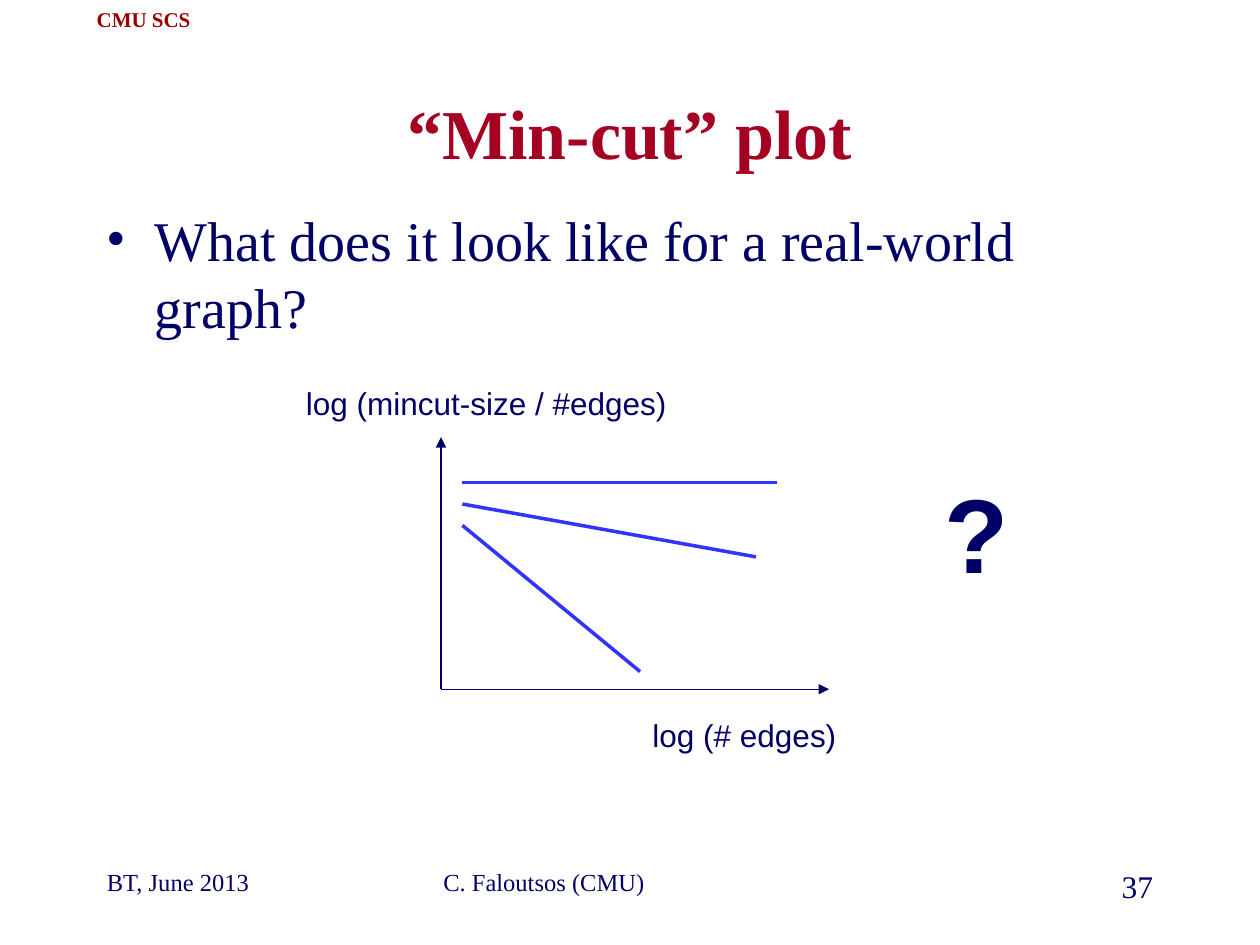
from lxml import etree
from pptx import Presentation
from pptx.dml.color import RGBColor
from pptx.enum import shapes, text
from pptx.oxml.ns import qn
from pptx.util import Inches, Pt

NAVY = RGBColor(0x00, 0x00, 0x66)
BLUE = RGBColor(0x33, 0x33, 0xFF)
CRIMSON = RGBColor(0xA5, 0x00, 0x21)
DARK_RED = RGBColor(0x99, 0x00, 0x00)
SERIF, SANS = "Times New Roman", "Arial"
LEFT, CENTER, RIGHT = text.PP_ALIGN.LEFT, text.PP_ALIGN.CENTER, text.PP_ALIGN.RIGHT
TOP, MIDDLE = text.MSO_ANCHOR.TOP, text.MSO_ANCHOR.MIDDLE

# text, (left, top, width, height), font, size, colour, bold, alignment, anchor
HEADER = ("CMU SCS", (0.67, 0, 0.94, 0.3), SERIF, 12, DARK_RED, True, CENTER, MIDDLE)
TITLE = ("“Min-cut” plot", (0.75, 0.67, 8.5, 0.75), SERIF, 40, CRIMSON, True, CENTER, MIDDLE)
QUESTION = ("What does it look like for a real-world graph?",
            (0.75, 1.58, 8.5, 5.08), SERIF, 32, NAVY, False, LEFT, TOP)
LABELS = [
    ("BT, June 2013", (0.75, 6.83, 2.08, 0.5), SERIF, 14, NAVY, False, LEFT, TOP),
    ("C. Faloutsos (CMU)", (3.42, 6.83, 3.17, 0.5), SERIF, 14, NAVY, False, LEFT, TOP),
    ("37", (7.17, 6.83, 2.08, 0.5), SERIF, 18, NAVY, False, RIGHT, TOP),
    ("log (# edges)", (5.08, 5.63, 1.92, 0.4), SANS, 18, NAVY, False, LEFT, TOP),
    ("log (mincut-size / #edges)", (2.33, 3, 3.33, 0.4), SANS, 18, NAVY, False, LEFT, TOP),
    ("?", (6.75, 3.67, 2, 1.1), SANS, 60, NAVY, True, CENTER, TOP),
]

ORIGIN = (3.5, 5.47)
AXIS_ENDS = [(6.58, 5.47), (3.5, 3.47)]
CURVES = [
    ((3.67, 3.83), (6.17, 3.83)),
    ((3.67, 4), (6, 4.42)),
    ((3.67, 4.17), (5.08, 5.33)),
]


def add_text(s, content, box, font, size, color, bold, align, anchor, side_margin=0.1):
    sp = s.shapes.add_textbox(*map(Inches, box))
    tf = sp.text_frame
    tf.word_wrap = True
    tf.margin_left = tf.margin_right = Inches(side_margin)
    tf.vertical_anchor = anchor
    p = tf.paragraphs[0]
    p.text = content
    p.alignment = align
    return p, style(p, font, size, color, bold)


def style(p, font, size, color, bold):
    p.font.name, p.font.size, p.font.bold = font, Pt(size), bold
    p.font.color.rgb = color


def add_bullet(p, indent, font):
    """Give the paragraph a hanging bullet."""
    pPr = p._p.get_or_add_pPr()
    pPr.set("marL", str(Inches(indent)))
    pPr.set("indent", str(-Inches(indent)))
    pPr.insert(0, etree.Element(qn("a:buFont"), typeface=font))
    pPr.insert(1, etree.Element(qn("a:buChar"), char="•"))


def add_line(s, start, end, color, width, arrow=False):
    line = s.shapes.add_connector(shapes.MSO_CONNECTOR.STRAIGHT,
                                  *map(Inches, start + end))
    line.line.color.rgb = color
    line.line.width = Pt(width)
    if arrow:
        etree.SubElement(line.line._get_or_add_ln(), qn("a:tailEnd"), type="triangle")
    etree.SubElement(line._element.spPr, qn("a:effectLst"))


def main():
    prs = Presentation()
    prs.slide_width, prs.slide_height = Inches(10), Inches(7.5)
    s = prs.slides.add_slide(prs.slide_layouts[6])

    add_text(s, *HEADER, side_margin=0)
    add_text(s, *TITLE)
    question, _ = add_text(s, *QUESTION)
    add_bullet(question, 0.38, SERIF)
    for end in AXIS_ENDS:
        add_line(s, ORIGIN, end, NAVY, 0.75, arrow=True)
    for start, end in CURVES:
        add_line(s, start, end, BLUE, 2)
    for label in LABELS:
        add_text(s, *label)

    prs.save("out.pptx")


if __name__ == "__main__":
    main()
